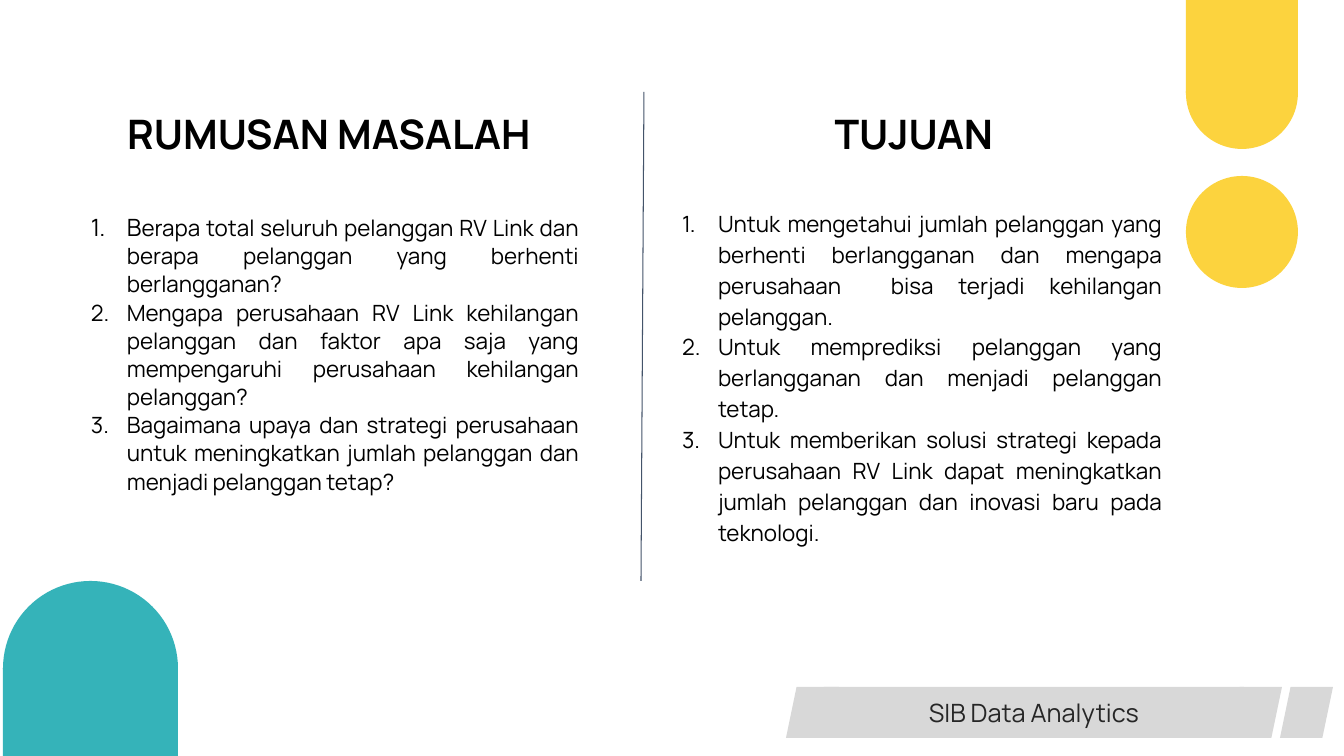
from lxml import etree
from pptx import Presentation
from pptx.dml.color import RGBColor
from pptx.enum.shapes import MSO_CONNECTOR, MSO_SHAPE
from pptx.enum.text import MSO_ANCHOR, MSO_AUTO_SIZE, PP_ALIGN
from pptx.oxml.ns import qn
from pptx.util import Pt

OVAL = MSO_SHAPE.OVAL
RECTANGLE = MSO_SHAPE.RECTANGLE
SLANT = MSO_SHAPE.FLOWCHART_DATA
STRAIGHT = MSO_CONNECTOR.STRAIGHT
CENTER, JUSTIFY = PP_ALIGN.CENTER, PP_ALIGN.JUSTIFY
TOP, MIDDLE = MSO_ANCHOR.TOP, MSO_ANCHOR.MIDDLE
NO_FIT = MSO_AUTO_SIZE.NONE

FONT = "Manrope"
COLOURS = {
    "text": "000000",
    "footer text": "262626",
    "teal": "35B3B9",
    "yellow": "FCD33E",
    "grey": "D8D8D8",
    "divider": "44546A",
}

HEADINGS = [
    (0, "RUMUSAN MASALAH", (72, 97, 514, 59)),
    (3, "TUJUAN", (657, 97, 514, 59)),
]
LISTS = [
    {
        "placeholder": 2,
        "box": (67, 206, 522, 339),
        "inset": 5,
        "spacing": 1.05,
        "first letter": 17,
        "items": [
            "Berapa total seluruh pelanggan RV Link dan berapa pelanggan yang berhenti berlangganan?",
            "Mengapa perusahaan RV Link kehilangan pelanggan dan faktor apa saja yang mempengaruhi perusahaan kehilangan pelanggan?",
            "Bagaimana upaya dan strategi perusahaan untuk meningkatkan jumlah pelanggan dan menjadi pelanggan tetap?",
        ],
    },
    {
        "placeholder": 4,
        "box": (658, 196, 514, 360),
        "inset": 10,
        "spacing": 1.15,
        "first letter": 16,
        "items": [
            "Untuk mengetahui jumlah pelanggan yang berhenti berlangganan dan mengapa perusahaan  bisa terjadi kehilangan pelanggan.",
            "Untuk memprediksi pelanggan yang berlangganan dan menjadi pelanggan tetap.",
            "Untuk memberikan solusi strategi kepada perusahaan RV Link dapat meningkatkan jumlah pelanggan dan inovasi baru pada teknologi.",
        ],
    },
]
FOOTER = ("SIB Data Analytics", (824, 687, 420, 51))
DECORATIONS = [
    (OVAL, "teal", (3, 581, 175, 175)),
    (RECTANGLE, "teal", (3, 668, 175, 88)),
    (OVAL, "yellow", (1186, 37, 112, 112)),
    (RECTANGLE, "yellow", (1186, 0, 112, 93)),
    (OVAL, "yellow", (1186, 176, 112, 112)),
    (SLANT, "grey", (1280, 687, 53, 51)),
    (SLANT, "grey", (786, 687, 53, 51)),
    (SLANT, "grey", (1229, 687, 53, 51)),
]
DIVIDER = (644, 92, 641, 581)


def px(*lengths):
    return [round(length * 914400 / 100.8) for length in lengths]


def colour(name):
    return RGBColor.from_string(COLOURS[name])


def place(shape, box):
    shape.left, shape.top, shape.width, shape.height = px(*box)


def prepare_frame(shape, inset, anchor):
    frame = shape.text_frame
    frame.word_wrap = True
    frame.auto_size = NO_FIT
    frame.vertical_anchor = anchor
    frame.margin_left, frame.margin_right = px(10, 10)
    frame.margin_top, frame.margin_bottom = px(inset, inset)
    return frame


def style(paragraph, size, alignment, spacing=1.0, before=0, bold=False, ink="text"):
    paragraph.alignment = alignment
    paragraph.line_spacing = spacing
    paragraph.space_before = Pt(before)
    font = paragraph.font
    font.name, font.size, font.bold = FONT, Pt(size), bold
    font.color.rgb = colour(ink)


def number(paragraph):
    properties = paragraph._p.get_or_add_pPr()
    indent, hanging = px(50, 36)
    properties.set("marL", str(indent))
    properties.set("indent", str(-hanging))
    etree.SubElement(properties, qn("a:buFont"), typeface=FONT)
    etree.SubElement(properties, qn("a:buAutoNum"), type="arabicPeriod")


def add_plain_shape(page, kind, fill, box):
    shape = page.shapes.add_shape(kind, *px(*box))
    shape.shadow.inherit = False
    shape.fill.solid()
    shape.fill.fore_color.rgb = colour(fill)
    shape.line.fill.background()
    return shape


def fill_list(shape, content):
    place(shape, content["box"])
    frame = prepare_frame(shape, content["inset"], TOP)
    for index, item in enumerate(content["items"]):
        paragraph = frame.add_paragraph() if index else frame.paragraphs[0]
        number(paragraph)
        style(paragraph, 16, JUSTIFY, content["spacing"], before=0 if index else 3)
        if index == 0 and content["first letter"] != 16:
            initial = paragraph.add_run()
            initial.text = item[0]
            initial.font.size = Pt(content["first letter"])
            item = item[1:]
        paragraph.add_run().text = item


def main():
    deck = Presentation()
    deck.slide_width, deck.slide_height = px(1344, 756)
    page = deck.slides.add_slide(deck.slide_layouts[4])
    holders = {shape.placeholder_format.idx: shape for shape in page.placeholders}

    for index, text, box in HEADINGS:
        place(holders[index], box)
        frame = prepare_frame(holders[index], 5, TOP)
        frame.text = text
        style(frame.paragraphs[0], 29, CENTER, 1.15, bold=True)
    for content in LISTS:
        fill_list(holders[content["placeholder"]], content)
    for shape in list(page.placeholders):
        if not shape.text_frame.text:
            shape._element.getparent().remove(shape._element)

    for kind, fill, box in DECORATIONS:
        add_plain_shape(page, kind, fill, box)

    text, box = FOOTER
    footer = add_plain_shape(page, RECTANGLE, "grey", box)
    frame = prepare_frame(footer, 5, MIDDLE)
    frame.text = text
    style(frame.paragraphs[0], 18, CENTER, ink="footer text")

    divider = page.shapes.add_connector(STRAIGHT, *px(*DIVIDER))
    divider.line.color.rgb = colour("divider")
    divider.line.width = Pt(0.75)
    etree.SubElement(divider._element.spPr, qn("a:effectLst"))

    deck.save("out.pptx")


if __name__ == "__main__":
    main()
